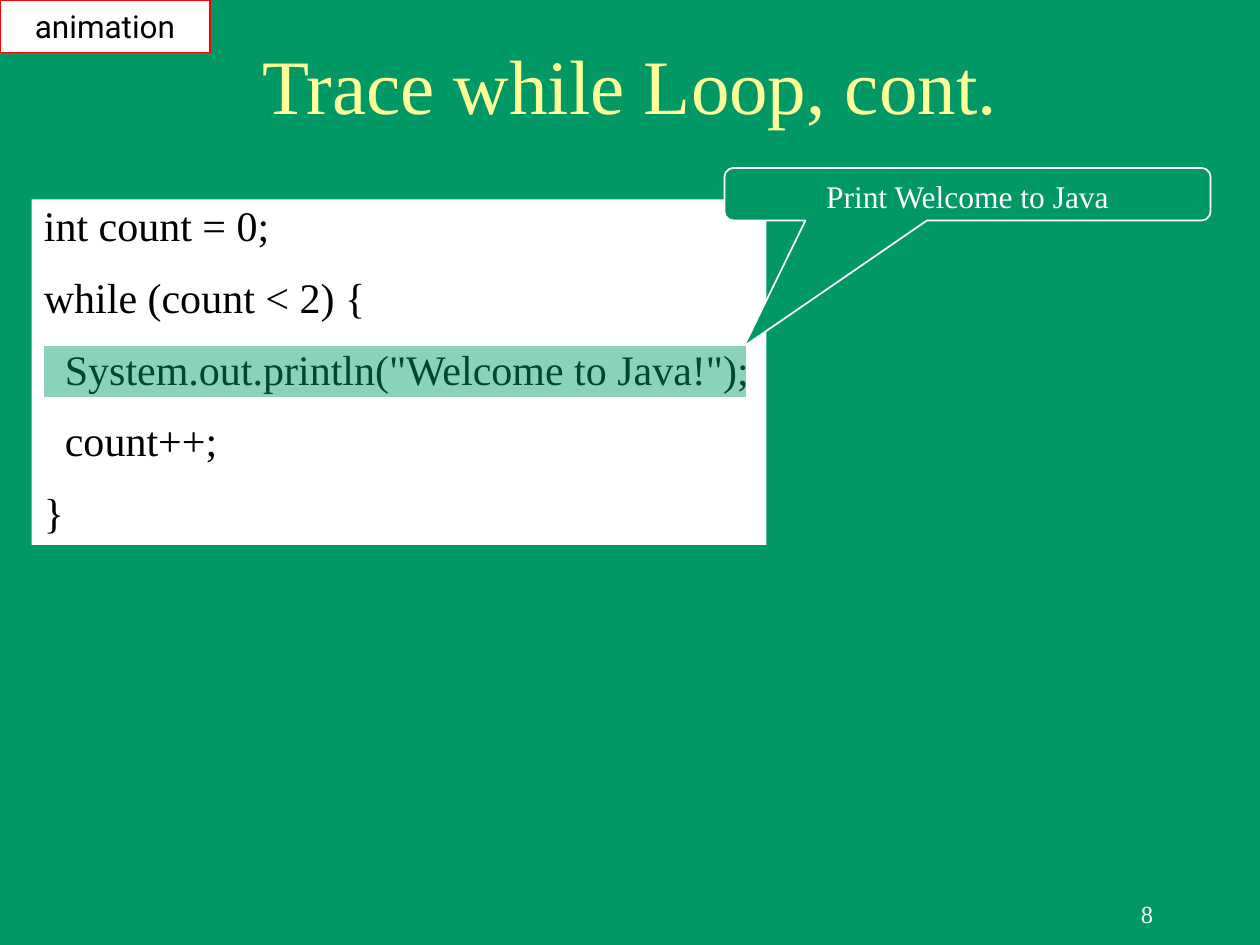
from dataclasses import dataclass

from lxml.etree import SubElement
from pptx import Presentation
from pptx.dml.color import RGBColor
from pptx.enum.shapes import MSO_SHAPE
from pptx.enum.text import MSO_ANCHOR, PP_ALIGN
from pptx.oxml.ns import qn
from pptx.util import Inches, Pt


@dataclass(frozen=True)
class Theme:
    green: str = "009966"
    yellow: str = "FFFF99"
    white: str = "FFFFFF"
    black: str = "000000"
    red: str = "FF0000"
    serif: str = "Times New Roman"
    sans: str = "Roboto"
    title: int = 44
    code: int = 24
    label: int = 18
    number: int = 14
    line: int = 1


THEME = Theme()
COLUMNS, ROWS = 120, 90
WIDTH, HEIGHT = Inches(10), Inches(7.5)
CODE = [  # indent level, statement
    (0, "int count = 0;"),
    (0, "while (count < 2) {"),
    (1, 'System.out.println("Welcome to Java!");'),
    (1, "count++;"),
    (0, "}"),
]


def place(box):
    """Turn a box of grid columns and rows into slide lengths."""
    left, top, width, height = box
    return (int(WIDTH * left / COLUMNS), int(HEIGHT * top / ROWS),
            int(WIDTH * width / COLUMNS), int(HEIGHT * height / ROWS))


def add_panel(slide, kind, box, fill, line=None):
    panel = slide.shapes.add_shape(kind, *place(box))
    panel.shadow.inherit = False
    panel.fill.solid()
    panel.fill.fore_color.rgb = RGBColor.from_string(fill)
    if line:
        panel.line.color.rgb = RGBColor.from_string(line)
        panel.line.width = Pt(THEME.line)
    else:
        panel.line.fill.background()
    return panel


def write(shape, text, size, color, font=THEME.serif, align=PP_ALIGN.CENTER,
          anchor=MSO_ANCHOR.MIDDLE, wrap=True):
    frame = shape.text_frame
    frame.text = text
    frame.word_wrap = wrap
    frame.vertical_anchor = anchor
    for paragraph in frame.paragraphs:
        paragraph.alignment = align
        for run in paragraph.runs:
            run.font.size = Pt(size)
            run.font.name = font
            run.font.color.rgb = RGBColor.from_string(color)
    return frame


def add_title(slide, box):
    title = slide.shapes.add_textbox(*place(box))
    write(title, "Trace while Loop, cont.", THEME.title, THEME.yellow)


def add_slide_number(slide, box):
    number = slide.shapes.add_textbox(*place(box))
    write(number, "8", THEME.number, THEME.white, align=PP_ALIGN.RIGHT)


def add_code(slide, box):
    listing = add_panel(slide, MSO_SHAPE.RECTANGLE, box, THEME.white)
    frame = write(listing, "\n".join(statement for _, statement in CODE),
                  THEME.code, THEME.black, align=PP_ALIGN.LEFT,
                  anchor=MSO_ANCHOR.TOP)
    for paragraph, (level, _) in zip(frame.paragraphs, CODE):
        paragraph.line_spacing = 0.9
        paragraph.space_before = Pt(15)
        # One level is two spaces wide, half the type size
        indent = paragraph._p.get_or_add_pPr()
        indent.set("marL", str(Pt(level * THEME.code / 2)))
        indent.set("indent", "0")


def add_callout(slide, box):
    callout = add_panel(slide, MSO_SHAPE.ROUNDED_RECTANGULAR_CALLOUT, box,
                        THEME.green, THEME.white)
    for index, value in enumerate((-0.46, 2.9, 0.17)):
        callout.adjustments[index] = value
    write(callout, "Print Welcome to Java", THEME.label, THEME.white,
          anchor=MSO_ANCHOR.TOP)


def add_highlight(slide, box):
    highlight = add_panel(slide, MSO_SHAPE.RECTANGLE, box,
                          THEME.green, THEME.white)
    color = highlight._element.spPr.find(qn("a:solidFill"))[0]
    SubElement(color, qn("a:alpha")).set("val", "45000")


def add_tag(slide, box):
    tag = add_panel(slide, MSO_SHAPE.RECTANGLE, box, THEME.white, THEME.red)
    write(tag, "animation", THEME.label, THEME.black, THEME.sans, wrap=False)


def main():
    deck = Presentation()
    deck.slide_width, deck.slide_height = WIDTH, HEIGHT
    slide = deck.slides.add_slide(deck.slide_layouts[6])
    slide.background.fill.solid()
    slide.background.fill.fore_color.rgb = RGBColor.from_string(THEME.green)

    # Page frame
    add_slide_number(slide, (86, 84, 25, 6))
    add_title(slide, (9, 3, 102, 10))

    # Code with the current step marked
    add_code(slide, (3, 19, 70, 32.9))
    add_callout(slide, (69, 16, 46.3, 5))
    add_highlight(slide, (4.1, 32.9, 67, 5))

    # Corner tag
    add_tag(slide, (0, 0, 20, 5))

    deck.save("out.pptx")


if __name__ == "__main__":
    main()
